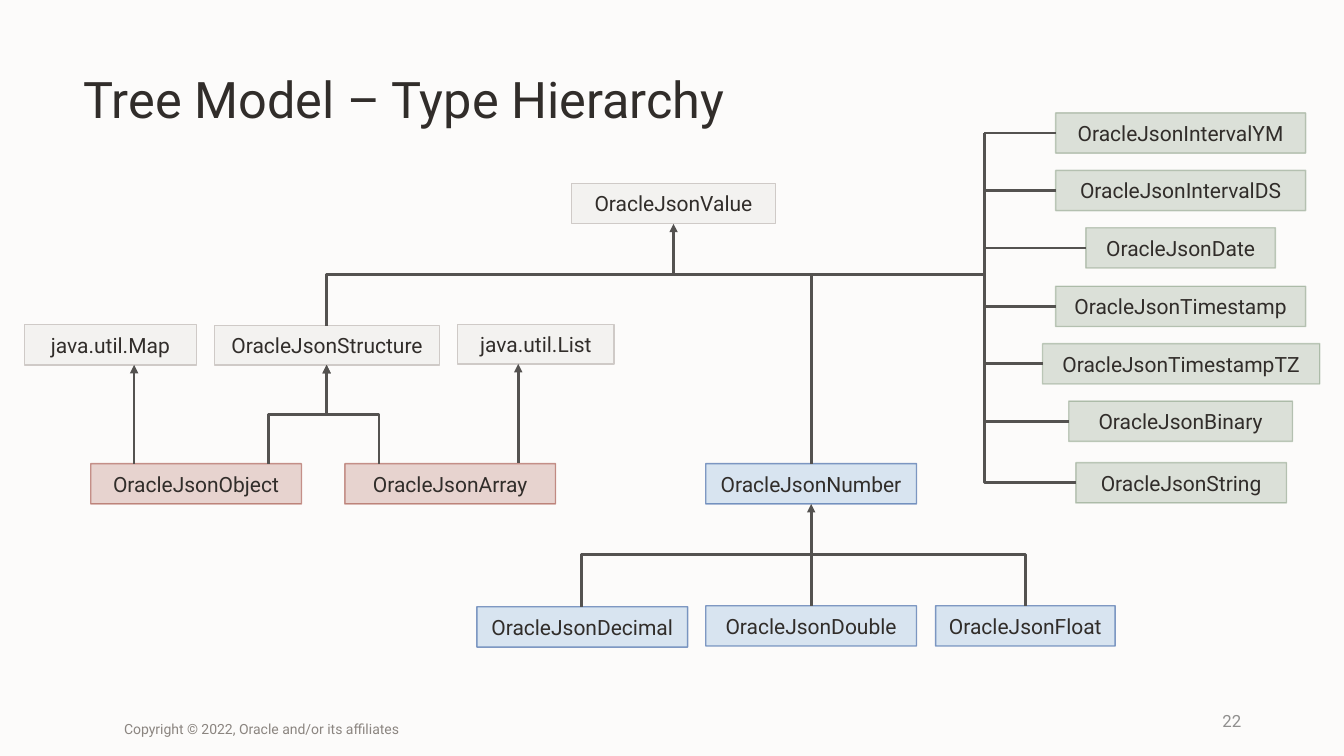
import dataclasses
import pptx
import pptx.util
import pptx.dml.color
import pptx.enum.shapes
import pptx.enum.text
import pptx.oxml
import pptx.oxml.ns
import lxml.etree as etree

qn = pptx.oxml.ns.qn
ALIGN = pptx.enum.text.PP_ALIGN
SHAPE = pptx.enum.shapes.MSO_SHAPE
CONNECTOR = pptx.enum.shapes.MSO_CONNECTOR
TOP, LEFT, BOTTOM = 0, 1, 2


@dataclasses.dataclass(frozen=True)
class Theme:
    font: str = "Roboto"
    background: str = "FCFBFA"
    text: str = "312D2A"
    connector: str = "545250"
    number: str = "908F8E"
    copyright: str = "8B8580"
    title_pt: int = 36
    label_pt: int = 15
    number_pt: int = 12
    copyright_pt: int = 10
    border_pt: int = 1
    connector_pt: int = 2
    # fill, fill opacity %, border, border opacity %
    interface: tuple = ("ECEAE8", 50, "CFCAC7", 100)
    structure: tuple = ("953427", 20, "953427", 49)
    scalar: tuple = ("577650", 20, "577650", 35)
    numeric: tuple = ("B7D0E8", 52, "365FA2", 61)


def px(n):
    """One px is a hundredth of an inch."""
    return pptx.util.Emu(round(n * 9144))


def rgb(color):
    return pptx.dml.color.RGBColor.from_string(color)


def apply(target, formats):
    for name, value in formats.items():
        setattr(target, name, value)


class Diagram:
    def __init__(self, prs, theme):
        self.theme = theme
        self.s = prs.slides.add_slide(prs.slide_layouts[6])
        self.paint(self.s.background.fill, theme.background)

    def paint(self, fill, color, opacity=100):
        fill.solid()
        fill.fore_color.rgb = rgb(color)
        if opacity < 100:
            clr = fill._xPr.find(qn("a:solidFill"))[0]
            etree.SubElement(clr, qn("a:alpha")).set("val", str(opacity * 1000))

    def set_text(self, sp, text, size, color, align, margin=None, spacing=None):
        tf = sp.text_frame
        apply(tf, {"word_wrap": True,
                   "vertical_anchor": pptx.enum.text.MSO_ANCHOR.MIDDLE})
        if margin is not None:
            apply(tf, {f"margin_{side}": px(margin)
                       for side in ("left", "top", "right", "bottom")})
        p = tf.paragraphs[0]
        apply(p, {"alignment": align, "line_spacing": spacing})
        r = p.add_run()
        r.text = text
        apply(r.font, {"name": self.theme.font, "size": pptx.util.Pt(size)})
        r.font.color.rgb = rgb(color)

    def text(self, x, y, w, h, *args, **kwargs):
        sp = self.s.shapes.add_textbox(px(x), px(y), px(w), px(h))
        self.set_text(sp, *args, **kwargs)

    def box(self, text, x, y, w, style, h=40):
        fill, fill_opacity, border, border_opacity = style
        sp = self.s.shapes.add_shape(SHAPE.RECTANGLE, px(x), px(y), px(w), px(h))
        sp.shadow.inherit = False
        self.paint(sp.fill, fill, fill_opacity)
        self.paint(sp.line.fill, border, border_opacity)
        sp.line.width = pptx.util.Pt(self.theme.border_pt)
        self.set_text(sp, text, self.theme.label_pt, self.theme.text, ALIGN.CENTER)
        return sp

    def finish(self, c, arrow):
        c.line.width = pptx.util.Pt(self.theme.connector_pt)
        self.paint(c.line.fill, self.theme.connector)
        spPr = c.element.spPr
        if arrow:
            end = etree.SubElement(spPr.find(qn("a:ln")), qn("a:tailEnd"))
            end.set("type", "triangle")
        etree.SubElement(spPr, qn("a:effectLst"))

    def line(self, x1, y1, x2, y2, arrow=False, begin=None, end=None):
        c = self.s.shapes.add_connector(CONNECTOR.STRAIGHT, px(x1), px(y1), px(x2), px(y2))
        if begin:
            c.begin_connect(*begin)
        if end:
            c.end_connect(*end)
        self.finish(c, arrow)

    def elbow(self, x1, y1, x2, y2, bend=None, arrow=False):
        """Leave vertically; turn once, or twice when a bend height is given."""
        w, h = abs(y2 - y1), abs(x2 - x1)
        left, top = (x1 + x2 - w) / 2, (y1 + y2 - h) / 2
        c = self.s.shapes.add_connector(CONNECTOR.ELBOW, px(left), px(top),
                                        px(left + w), px(top + h))
        # A three-quarter turn makes the first leg point up
        xfrm = c.element.spPr.find(qn("a:xfrm"))
        xfrm.set("rot", str(270 * 60000))
        if x2 < x1:
            xfrm.set("flipV", "1")
        if y2 > y1:
            xfrm.set("flipH", "1")
        geom = c.element.spPr.find(qn("a:prstGeom"))
        if bend is None:
            geom.set("prst", "bentConnector2")
        else:
            gd = etree.SubElement(geom.find(qn("a:avLst")), qn("a:gd"))
            gd.set("name", "adj1")
            gd.set("fmla", f"val {round(100000 * (bend - y1) / (y2 - y1))}")
        self.finish(c, arrow)


def main():
    prs = pptx.Presentation()
    apply(prs, {"slide_width": px(1333), "slide_height": px(750)})
    theme = Theme()
    d = Diagram(prs, theme)

    # Title
    d.text(83, 56, 1167, 90, "Tree Model – Type Hierarchy", theme.title_pt,
           theme.text, ALIGN.LEFT, margin=0, spacing=0.95)

    # Root, structures and collection interfaces
    d.box("OracleJsonValue", 567, 182, 202, theme.interface)
    d.box("OracleJsonStructure", 213, 323, 223, theme.interface, h=39)
    d.box("java.util.Map", 24, 322, 171, theme.interface)
    d.box("java.util.List", 454, 322, 155, theme.interface, h=39)
    d.box("OracleJsonObject", 90, 460, 209, theme.structure)
    d.box("OracleJsonArray", 342, 460, 209, theme.structure)

    # Numbers
    number = d.box("OracleJsonNumber", 700, 460, 209, theme.numeric)
    d.box("OracleJsonDecimal", 473, 602, 209, theme.numeric)
    double = d.box("OracleJsonDouble", 700, 601, 209, theme.numeric)
    d.box("OracleJsonFloat", 928, 601, 178, theme.numeric)

    # Scalars: a centred column, each joined to the trunk
    column_x, trunk_x, first_y, pitch = 1171, 976, 112, 57.25
    scalars = [("IntervalYM", 248), ("IntervalDS", 248), ("Date", 188),
               ("Timestamp", 248), ("TimestampTZ", 275), ("Binary", 222)]
    for i, (name, w) in enumerate(scalars):
        x, y = column_x - w // 2, round(first_y + i * pitch)
        sp = d.box("OracleJson" + name, x, y, w, theme.scalar)
        d.line(x, y + 20, trunk_x, y + 20, begin=(sp, LEFT))
    d.box("OracleJsonString", 1067, 459, 209, theme.scalar)
    d.elbow(trunk_x, first_y + 20, 1067, 479)

    # Links below the root
    spine_y = 272
    d.elbow(324, 323, 668, 222, bend=spine_y, arrow=True)
    d.elbow(805, 460, 668, 227, bend=spine_y)
    d.line(668, spine_y, trunk_x, spine_y)

    # Links from objects and arrays
    d.line(133, 460, 133, 362, arrow=True)
    d.line(514, 459, 514, 361, arrow=True)
    for x in (266, 376):
        d.elbow(x, 460, 324, 362, bend=411, arrow=True)

    # Links below the number type
    d.line(805, 601, 805, 500, arrow=True, begin=(double, TOP), end=(number, BOTTOM))
    for x, y in ((577, 602), (1017, 601)):
        d.elbow(x, y, 805, 550)

    # Footer
    d.text(941, 695, 300, 40, "22", theme.number_pt, theme.number, ALIGN.RIGHT)
    d.text(123, 703, 628, 40, "Copyright © 2022, Oracle and/or its affiliates",
           theme.copyright_pt, theme.copyright, ALIGN.LEFT, margin=0)

    prs.save("out.pptx")


if __name__ == "__main__":
    main()
